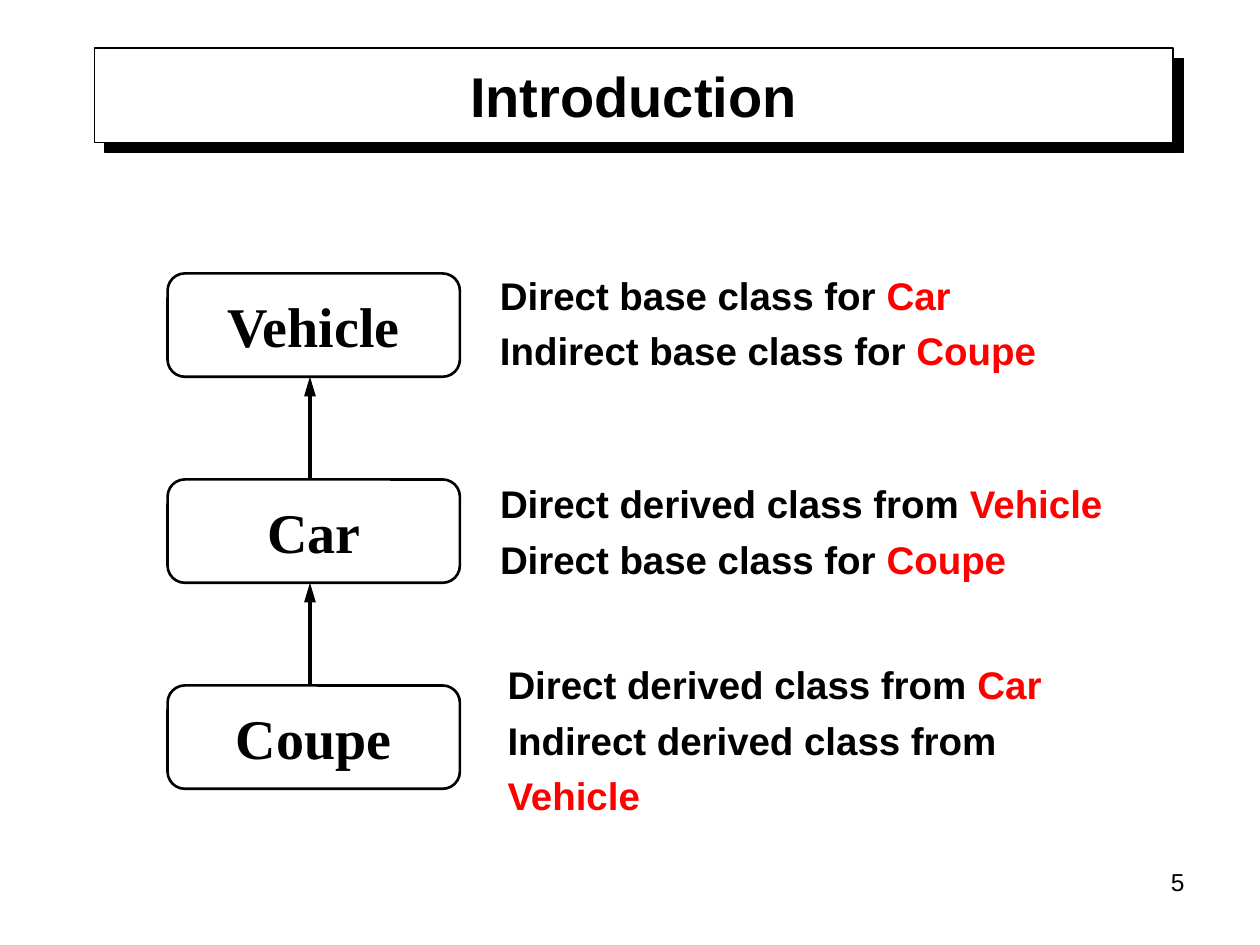
import pptx
import pptx.dml.color
import pptx.enum.shapes
import pptx.enum.text
import pptx.oxml
import pptx.oxml.ns
import pptx.util
from pptx.util import Inches

COLORS = {"ink": "000000", "paper": "FFFFFF", "accent": "FF0000"}
CLASSES = [
    ("Vehicle", 3.87, 4.54, [("Direct base class for ", "Car"), ("Indirect base class for ", "Coupe")]),
    ("Car", 3.87, 5.09, [("Direct derived class from ", "Vehicle"), ("Direct base class for ", "Coupe")]),
    ("Coupe", 3.93, 5.2, [("Direct derived class from ", "Car"), ("Indirect derived class from ", "Vehicle")]),
]
ALIGN = pptx.enum.text.PP_ALIGN
MIDDLE = pptx.enum.text.MSO_ANCHOR.MIDDLE
SHAPES = pptx.enum.shapes.MSO_SHAPE


def color(name):
    return pptx.dml.color.RGBColor.from_string(COLORS[name])


def xml(text):
    return pptx.oxml.parse_xml(text.replace(">", f" {pptx.oxml.ns.nsdecls('a')}>", 1))


def style_span(span, size, font="Arial", bold=True, tint="ink"):
    span.font.size = pptx.util.Pt(size)
    span.font.name = font
    span.font.bold = bold
    span.font.color.rgb = color(tint)


def add_text(slide, box, text, size, align, bold=True):
    frame = slide.shapes.add_textbox(*box).text_frame
    frame.word_wrap = True
    frame.text = text
    para = frame.paragraphs[0]
    para.alignment = align
    style_span(para.runs[0], size, bold=bold)
    return frame


def add_title(slide, left, top, width, height):
    box = left, top, width, height
    panel = slide.shapes.add_shape(SHAPES.RECTANGLE, *box)
    panel.fill.solid()
    panel.fill.fore_color.rgb = color("paper")
    panel.line.color.rgb = color("ink")
    panel.line.width = pptx.util.Pt(0.75)
    panel.shadow.inherit = False
    effects = panel._element.spPr.find(pptx.oxml.ns.qn("a:effectLst"))
    effects.append(xml(
        f'<a:outerShdw><a:srgbClr val="{COLORS["ink"]}"/></a:outerShdw>'))
    effects[0].set("dist", str(pptx.util.Pt(8.5)))
    effects[0].set("dir", str(45 * 60000))
    add_text(slide, box, "Introduction", 32, ALIGN.CENTER).vertical_anchor = MIDDLE


def add_class(slide, left, top, width, height, name):
    node = slide.shapes.add_shape(SHAPES.ROUNDED_RECTANGLE, left, top, width, height)
    node.adjustments[0] = 0.167
    node.fill.background()
    node.line.color.rgb = color("ink")
    node.line.width = pptx.util.Pt(1.5)
    node.shadow.inherit = False
    frame = node.text_frame
    frame.margin_left = frame.margin_right = frame.margin_top = frame.margin_bottom = 0
    frame.word_wrap = False
    frame.vertical_anchor = MIDDLE
    frame.text = name
    para = frame.paragraphs[0]
    para.alignment = ALIGN.CENTER
    para.space_before = pptx.util.Pt(8)
    style_span(para.runs[0], 32, "Times New Roman")


def add_arrow(slide, x, start, end):
    arrow = slide.shapes.add_connector(pptx.enum.shapes.MSO_CONNECTOR.STRAIGHT, x, start, x, end)
    arrow.line.color.rgb = color("ink")
    arrow.line.width = pptx.util.Pt(2.25)
    arrow.line._get_or_add_ln().append(xml('<a:tailEnd type="triangle" w="med" len="lg"></a:tailEnd>'))
    arrow._element.spPr.append(xml("<a:effectLst></a:effectLst>"))


def add_relations(slide, left, top, width, height, relations):
    frame = slide.shapes.add_textbox(left, top, width, height).text_frame
    frame.word_wrap = False
    frame.vertical_anchor = MIDDLE
    for index, (relation, target) in enumerate(relations):
        para = frame.add_paragraph() if index else frame.paragraphs[0]
        para.line_spacing = 1.2
        for text, tint in ((relation, "ink"), (target, "accent")):
            span = para.add_run()
            span.text = text
            style_span(span, 22, tint=tint)


def add_hierarchy(slide, left, top, width, height):
    node_height = Inches(0.82)
    pitch = (height - node_height) // (len(CLASSES) - 1)
    for index, (name, text_left, text_width, relations) in enumerate(CLASSES):
        node_top = top + index * pitch
        add_class(slide, left, node_top, width, node_height, name)
        if index:
            add_arrow(slide, left + Inches(1.13), node_top, node_top - pitch + node_height)
        text_top = top - Inches(0.08) + index * Inches(1.655)
        add_relations(slide, Inches(text_left), text_top, Inches(text_width), Inches(0.87), relations)


def main():
    deck = pptx.Presentation()
    deck.slide_width, deck.slide_height = Inches(10), Inches(7.5)
    slide = deck.slides.add_slide(deck.slide_layouts[6])
    add_title(slide, Inches(0.75), Inches(0.38), Inches(8.56), Inches(0.75))
    add_hierarchy(slide, Inches(1.33), Inches(2.17), Inches(2.32), Inches(4.09))
    number_box = Inches(7.17), Inches(6.83), Inches(2.33), Inches(0.52)
    add_text(slide, number_box, "5", 14, ALIGN.RIGHT, bold=False)
    deck.save("out.pptx")


if __name__ == "__main__":
    main()
